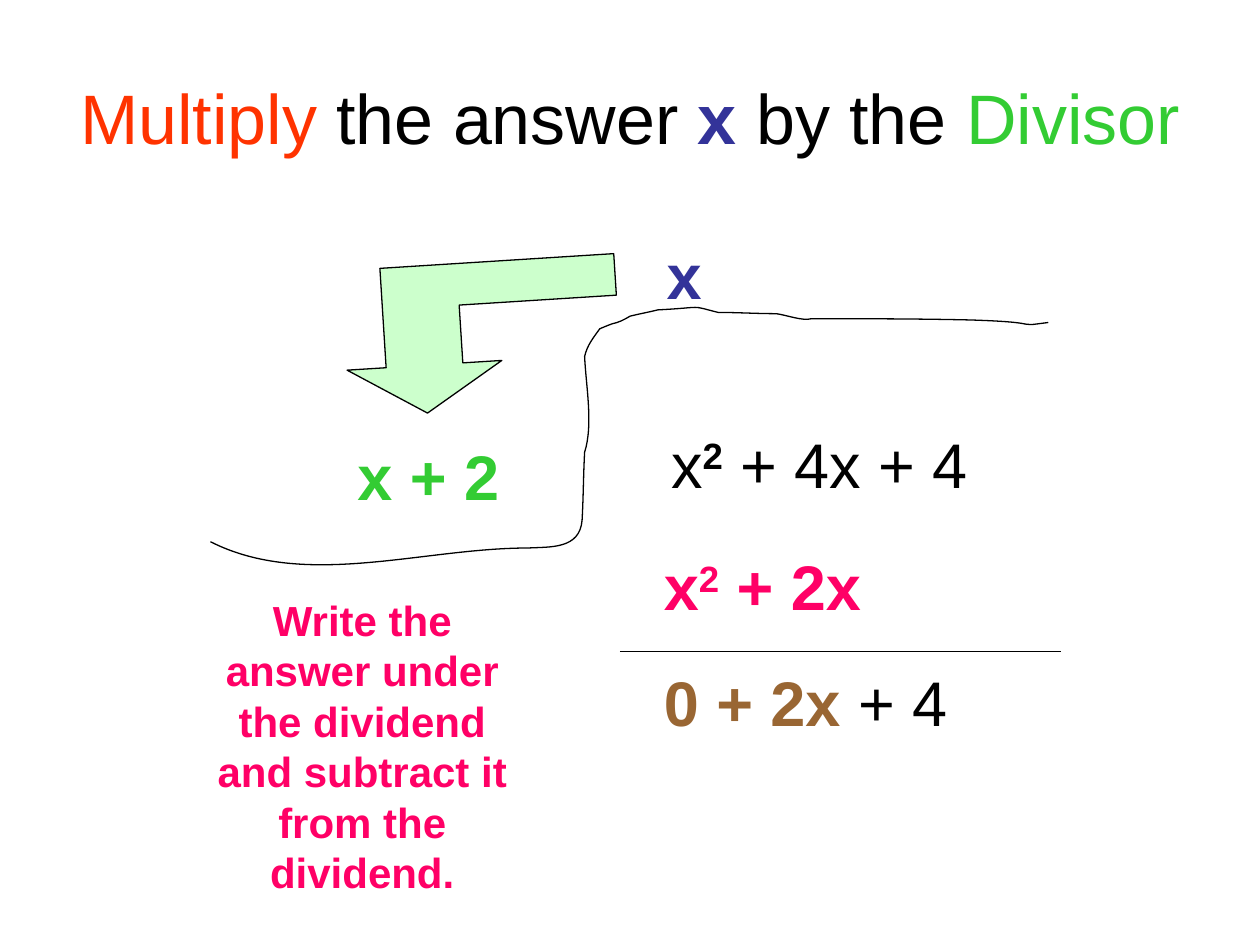
import pptx
import pptx.util
import pptx.dml.color
import pptx.enum.shapes
import pptx.enum.text
import pptx.oxml.ns
from lxml import etree
from pptx.util import Inches, Pt

COLORS = {"ink": "000000", "multiply": "FF3300", "answer": "333399",
          "divisor": "33CC33", "product": "FF0066", "rest": "996633",
          "arrow": "CCFFCC"}
ALIGN = pptx.enum.text.PP_ALIGN
ANCHOR = pptx.enum.text.MSO_ANCHOR
AUTO = pptx.enum.text.MSO_AUTO_SIZE
qn = pptx.oxml.ns.qn

# Division bracket: start point, then cubic segments (two controls and an end)
BRACKET_START = (8.32, 2.56)
BRACKET_CURVES = [
    ((8.01, 2.6), (8.35, 2.56), (7.7, 2.54)),
    ((7.28, 2.53), (6.86, 2.53), (6.44, 2.53)),
    ((6.37, 2.55), (6.24, 2.5), (6.16, 2.49)),
    ((6.01, 2.49), (5.85, 2.48), (5.7, 2.48)),
    ((5.46, 2.42), (5.61, 2.44), (5.22, 2.46)),
    ((5.14, 2.48), (5.08, 2.49), (5, 2.51)),
    ((4.95, 2.54), (4.91, 2.56), (4.86, 2.57)),
    ((4.83, 2.58), (4.76, 2.61), (4.76, 2.61)),
    ((4.71, 2.68), (4.66, 2.74), (4.64, 2.83)),
    ((4.65, 3.06), (4.71, 3.37), (4.64, 3.59)),
    ((4.63, 3.77), (4.63, 3.95), (4.62, 4.13)),
    ((4.6, 4.36), (4.37, 4.34), (4.19, 4.35)),
    ((3.35, 4.35), (2.42, 4.68), (1.67, 4.3))]


def rgb(name):
    return pptx.dml.color.RGBColor.from_string(COLORS[name])


def place(sp, box):
    for name, value in zip(("left", "top", "width", "height"), box):
        setattr(sp, name, Inches(value))


def write(tf, runs, size, align, space_before=0):
    """Fill the first paragraph with runs of (text, colour, bold[, superscript])."""
    p = tf.paragraphs[0]
    p.alignment = align
    p.space_before = Pt(space_before)
    for text, color, bold, *superscript in runs:
        r = p.add_run()
        r.text = text
        for name, value in {"name": "Arial", "size": Pt(size), "bold": bold}.items():
            setattr(r.font, name, value)
        r.font.color.rgb = rgb(color)
        if superscript:
            r.font._element.set("baseline", "30000")


def add_title(s, box, runs):
    sp = s.shapes.title
    place(sp, box)
    tf = sp.text_frame
    for name, value in {"word_wrap": True, "auto_size": AUTO.NONE,
                        "vertical_anchor": ANCHOR.MIDDLE}.items():
        setattr(tf, name, value)
    write(tf, runs, 40, ALIGN.CENTER)


def add_text(s, box, runs, size=36, align=ALIGN.CENTER, wrap=True, space_before=0):
    tf = s.shapes.add_textbox(*map(Inches, box)).text_frame
    tf.word_wrap = wrap
    tf.auto_size = AUTO.SHAPE_TO_FIT_TEXT
    write(tf, runs, size, align, space_before)


def add_outline(s, points, close, fill=None):
    start, *rest = [tuple(map(Inches, pt)) for pt in points]
    builder = s.shapes.build_freeform(*start)
    builder.add_line_segments(rest, close=close)
    sp = builder.convert_to_shape()
    sp.shadow.inherit = False
    if fill:
        sp.fill.solid()
        sp.fill.fore_color.rgb = rgb(fill)
    else:
        sp.fill.background()
    sp.line.color.rgb = rgb("ink")
    sp.line.width = Pt(0.75)
    return sp


def add_bracket(s):
    """Outline the control points, then join every three into a cubic curve."""
    points = [BRACKET_START] + [pt for curve in BRACKET_CURVES for pt in curve]
    sp = add_outline(s, points, close=False)
    outline = next(sp._element.iter(qn("a:path")))
    lines = outline.findall(qn("a:lnTo"))
    for i in range(0, len(lines), 3):
        curve = etree.SubElement(outline, qn("a:cubicBezTo"))
        for line in lines[i:i + 3]:
            curve.append(line[0])
            outline.remove(line)


def add_bent_arrow(s, box, rotation):
    """Draw an arrow with a bottom bar and a stem pointing up, then turn it."""
    left, top, width, height = box
    bar, stem, wing, head = 0.33, 0.61, 0.31, 0.38
    stem_right = width - wing
    stem_left = stem_right - stem
    outline = [(0, height - bar), (stem_left, height - bar), (stem_left, head),
               (stem_left - wing, head), (stem_left + stem / 2, 0), (width, head),
               (stem_right, head), (stem_right, height), (0, height)]
    sp = add_outline(s, [(left + x, top + y) for x, y in outline[:-1]]
                     + [(left, top + height)], True, "arrow")
    sp.rotation = rotation


def add_rule(s, x1, x2, y):
    sp = s.shapes.add_connector(pptx.enum.shapes.MSO_CONNECTOR.STRAIGHT,
                                *map(Inches, (x1, y, x2, y)))
    sp.line.color.rgb = rgb("ink")
    sp.line.width = Pt(0.75)
    etree.SubElement(sp._element.spPr, qn("a:effectLst"))


def add_division(s):
    add_bracket(s)
    add_text(s, (5.19, 1.83, 0.48, 0.7), [("x", "answer", True)], wrap=False)
    add_text(s, (4.67, 3.33, 3.67, 0.7),
             [("x", "ink", False), ("2", "ink", True, True), (" + 4x + 4", "ink", False)])
    add_text(s, (2.72, 3.42, 1.36, 0.7), [("x + 2", "divisor", True)], wrap=False)
    add_bent_arrow(s, (2.74, 2.08, 2.17, 1.17), 176.4)


def add_subtraction(s, left, top, width):
    add_text(s, (left, top, width, 0.7),
             [("x", "product", True), ("2", "product", True, True),
              (" + 2x", "product", True)], align=ALIGN.LEFT)
    add_text(s, (1.5, 4.67, 2.75, 2.5),
             [("Write the answer under the dividend and subtract it from the dividend.",
               "product", True)], size=24, space_before=15)
    add_rule(s, left - 0.25, left + width + 0.08, top + 0.87)
    add_text(s, (left, top + 0.92, width, 0.7),
             [("0 + 2x ", "rest", True), ("+ 4", "ink", False)], align=ALIGN.LEFT)


def main():
    prs = pptx.Presentation()
    prs.slide_width, prs.slide_height = Inches(10), Inches(7.5)
    s = prs.slides.add_slide(prs.slide_layouts.get_by_name("Title Only"))
    add_title(s, (0.5, 0.3, 9, 1.25),
              [("Multiply", "multiply", False), (" the answer ", "ink", False),
               ("x", "answer", True), (" by the ", "ink", False),
               ("Divisor", "divisor", False)])
    add_division(s)
    add_subtraction(s, 5.17, 4.3, 3.17)
    prs.save("out.pptx")


if __name__ == "__main__":
    main()
